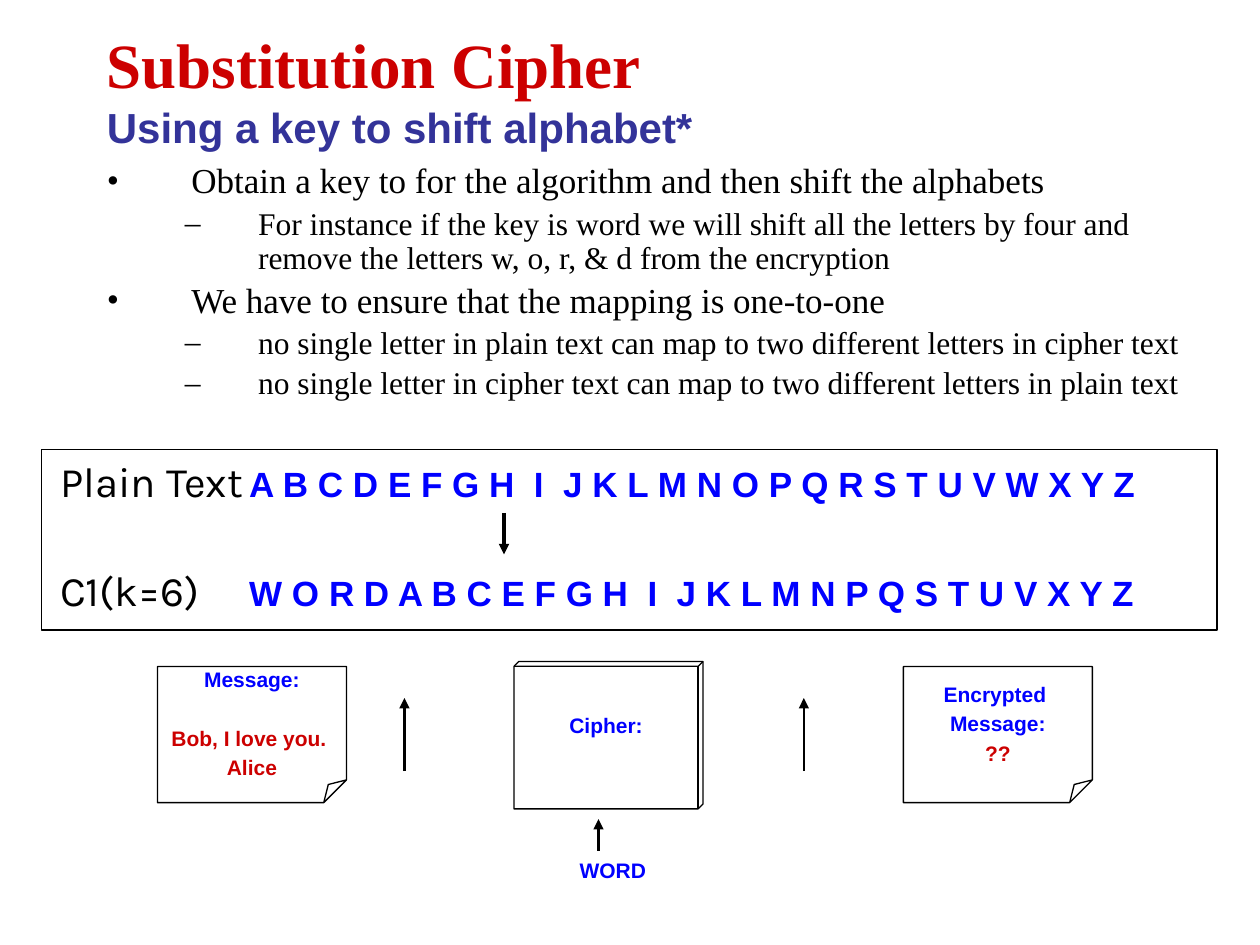
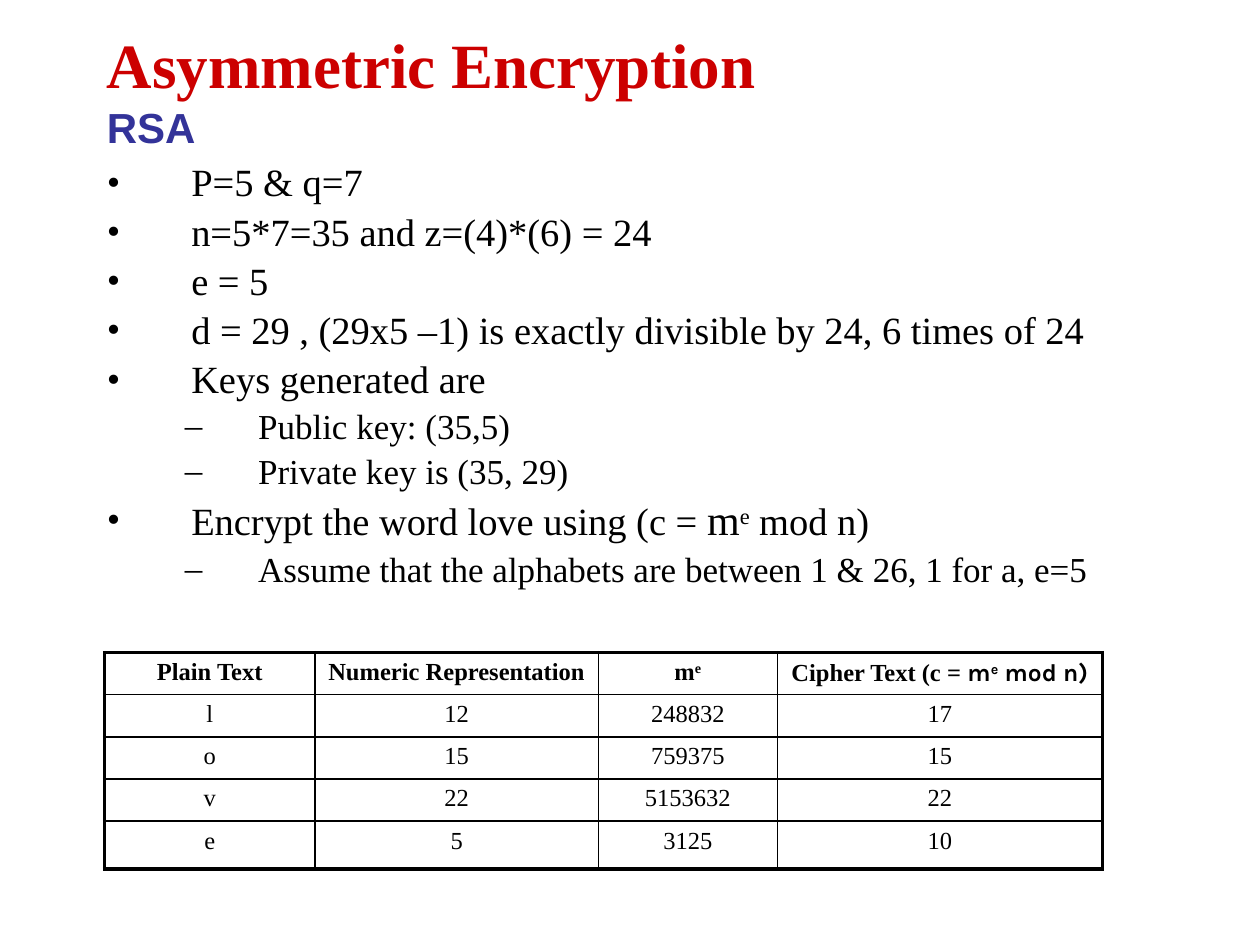
from dataclasses import dataclass

from lxml.etree import SubElement
from pptx import Presentation
from pptx.dml.color import RGBColor
from pptx.enum.shapes import MSO_CONNECTOR, MSO_SHAPE
from pptx.enum.text import MSO_ANCHOR, PP_ALIGN
from pptx.oxml.ns import qn
from pptx.util import Inches, Pt


@dataclass(frozen=True)
class Theme:
    black: str = "000000"
    red: str = "CC0000"
    navy: str = "333399"
    blue: str = "0000FF"
    serif: str = "Times New Roman"
    sans: str = "Arial"
    accent: str = "Karla"
    title: int = 36
    subtitle: int = 24
    label: int = 24
    alphabet: int = 20
    cell: int = 14
    note: int = 12
    thin: float = 0.75


THEME = Theme()
TITLE = dict(name=THEME.serif, size=THEME.title, color=THEME.red, bold=True)
SUBTITLE = dict(name=THEME.sans, size=THEME.subtitle, color=THEME.navy, bold=True)
BODY = dict(name=THEME.serif, color=THEME.black)
LABEL = dict(name=THEME.accent, size=THEME.label, color=THEME.black)
ALPHABET = dict(name=THEME.sans, size=THEME.alphabet, color=THEME.blue, bold=True)
NOTE = dict(name=THEME.sans, size=THEME.note, color=THEME.blue, bold=True)
RED_NOTE = {**NOTE, "color": THEME.red}
CELL = dict(name=THEME.serif, size=THEME.cell, color=THEME.black)
RAISED = 30000

# Bullet levels: mark, text indent, hanging indent
LEVELS = [("•", 0.67, -0.67), ("–", 1.2, -0.58)]

CIPHER_PAGE = {
    "title": "Substitution Cipher",
    "subtitle": "Using a key to shift alphabet*",
    "body": (0.75, 1.25, 9, 1.92),
    "sizes": (20, 18),
    "bullets": [
        (0, "Obtain a key to for the algorithm and then shift the alphabets"),
        (1, "For instance if the key is word we will shift all the letters by four and "
            "remove the letters w, o, r, & d from the encryption"),
        (0, "We have to ensure that the mapping is one-to-one"),
        (1, "no single letter in plain text can map to two different letters in cipher text"),
        (1, "no single letter in cipher text can map to two different letters in plain text"),
    ],
}
RSA_PAGE = {
    "title": "Asymmetric Encryption",
    "subtitle": "RSA",
    "body": (0.75, 1.25, 9.5, 3.42),
    "sizes": (22, 20),
    "bullets": [
        (0, "P=5 & q=7"),
        (0, "n=5*7=35 and z=(4)*(6) = 24"),
        (0, "e = 5"),
        (0, "d = 29 , (29x5 –1) is exactly divisible by 24, 6 times of 24"),
        (0, "Keys generated are"),
        (1, "Public key: (35,5)"),
        (1, "Private key is (35, 29)"),
        (0, [("Encrypt the word love using (c = ", {}), ("m", {"size": 24}),
             ("e", {"baseline": RAISED}), (" mod n)", {})]),
        (1, "Assume that the alphabets are between 1 & 26, 1 for a, e=5"),
    ],
}

# Top, label, letters
ALPHABETS = [
    (3.57, "Plain Text", "A B C D E F G H  I  J K L M N O P Q R S T U V W X Y Z"),
    (4.43, "C1(k=6)", "W O R D A B C E F G H  I  J K L M N P Q S T U V X Y Z"),
]
ALPHABET_FRAME = (0.33, 3.57, 9.33, 1.43)
CUBE_DEPTH = 0.033
# Place, preset, bottom inset, lines of (text, style, space before)
CARDS = [
    ((1.25, 5.29, 1.5, 1.08), MSO_SHAPE.FOLDED_CORNER, 0.05,
     [("Message:", NOTE, 0), ("Bob, I love you. ", RED_NOTE, 19.2), ("Alice", RED_NOTE, 2.4)]),
    ((4.08, 5.25, 1.5, 1.17), MSO_SHAPE.CUBE, 0.24, [("Cipher:", NOTE, 0)]),
    ((7.17, 5.29, 1.5, 1.08), MSO_SHAPE.FOLDED_CORNER, 0.05,
     [("Encrypted ", NOTE, 0), ("Message:", NOTE, 2.4), ("??", RED_NOTE, 2.4)]),
]
# x, from y, to y, width
ARROWS = [(4, 4.07, 4.4, 2), (3.21, 6.12, 5.54, 1.5),
          (6.38, 6.12, 5.54, 1.5), (4.75, 6.75, 6.5, 1.5)]

KARLA = {"name": THEME.accent}
CIPHER_TABLE = [
    ["Plain Text", "Numeric Representation", [("m", {}), ("e", {"baseline": RAISED})],
     [("Cipher Text (c = ", {}), ("m", KARLA), ("e", {**KARLA, "baseline": RAISED}),
      (" mod n)", KARLA)]],
    ["l", "12", "248832", "17"],
    ["o", "15", "759375", "15"],
    ["v", "22", "5153632", "22"],
    ["e", "5", "3125", "10"],
]
TABLE_ORIGIN = (0.83, 5.18)
COLUMN_WIDTHS = [1.67, 2.25, 1.42, 2.58]
ROW_HEIGHTS = [0.33] * 4 + [0.38]
OUTER_BORDER, INNER_BORDER = 2.25, 1


def inches(values):
    return [Inches(value) for value in values]


def write(para, content, style):
    """Add plain text, or (text, changes) spans, in the given style."""
    for text, changes in [(content, {})] if isinstance(content, str) else content:
        look = {**style, **changes}
        span = para.add_run()
        span.text = text
        span.font.color.rgb = RGBColor.from_string(look.pop("color"))
        baseline = look.pop("baseline", None)
        look["size"] = Pt(look["size"])
        for key, value in look.items():
            setattr(span.font, key, value)
        if baseline:
            span._r.get_or_add_rPr().set("baseline", str(baseline))


def next_para(frame, number):
    return frame.add_paragraph() if number else frame.paragraphs[0]


def add_text(page, place, **frame_format):
    frame = page.shapes.add_textbox(*inches(place)).text_frame
    for key, value in {"word_wrap": True, **frame_format}.items():
        setattr(frame, key, value)
    return frame


def set_bullet(para, level):
    mark, left, hanging = LEVELS[level]
    para.level = level
    properties = para._p.get_or_add_pPr()
    properties.set("marL", str(Inches(left)))
    properties.set("indent", str(Inches(hanging)))
    color = SubElement(properties, qn("a:buClr"))
    SubElement(color, qn("a:srgbClr"), val=THEME.black)
    SubElement(properties, qn("a:buFont"), typeface=THEME.serif)
    SubElement(properties, qn("a:buChar"), char=mark)


def add_page(deck, content):
    """Make a page with its title, subtitle and bullets."""
    page = deck.slides.add_slide(deck.slide_layouts[6])
    frame = add_text(page, content["body"])
    for number, (level, text) in enumerate(content["bullets"]):
        para = next_para(frame, number)
        size = content["sizes"][level]
        para.line_spacing = 0.9
        para.space_before = Pt(round(0.2 * size, 1) if number else 0)
        set_bullet(para, level)
        write(para, text, {**BODY, "size": size})
    heading = add_text(page, (0.75, 0.08, 8.5, 1.25), vertical_anchor=MSO_ANCHOR.MIDDLE)
    para = heading.paragraphs[0]
    write(para, content["title"], TITLE)
    para.add_line_break()
    write(para, content["subtitle"], SUBTITLE)
    return page


def add_outline(page, preset, place):
    shape = page.shapes.add_shape(preset, *inches(place))
    shape.shadow.inherit = False
    shape.fill.background()
    shape.line.color.rgb = RGBColor.from_string(THEME.black)
    shape.line.width = Pt(THEME.thin)
    return shape


def add_card(page, place, preset, bottom_inset, lines):
    card = add_outline(page, preset, place)
    if preset == MSO_SHAPE.CUBE:
        card.adjustments[0] = CUBE_DEPTH
    frame = card.text_frame
    frame.word_wrap = True
    frame.vertical_anchor = MSO_ANCHOR.MIDDLE
    frame.margin_bottom = Inches(bottom_inset)
    for number, (text, style, gap) in enumerate(lines):
        para = next_para(frame, number)
        para.alignment = PP_ALIGN.CENTER
        para.space_before = Pt(gap)
        write(para, text, style)


def add_arrow(page, x, start, end, width):
    arrow = page.shapes.add_connector(MSO_CONNECTOR.STRAIGHT, *inches((x, start, x, end)))
    arrow.line.color.rgb = RGBColor.from_string(THEME.black)
    arrow.line.width = Pt(width)
    SubElement(arrow.line._get_or_add_ln(), qn("a:tailEnd"), type="triangle")
    SubElement(arrow._element.spPr, qn("a:effectLst"))


def set_borders(cell, widths):
    properties = cell._tc.get_or_add_tcPr()
    for side, width in widths.items():
        border = SubElement(properties, qn(f"a:ln{side}"), w=str(Pt(width)))
        fill = SubElement(border, qn("a:solidFill"))
        SubElement(fill, qn("a:srgbClr"), val=THEME.black)


def add_cipher_table(page):
    last_row, last_column = len(ROW_HEIGHTS) - 1, len(COLUMN_WIDTHS) - 1
    extent = (sum(COLUMN_WIDTHS), sum(ROW_HEIGHTS))
    table = page.shapes.add_table(last_row + 1, last_column + 1,
                                  *inches(TABLE_ORIGIN + extent)).table
    table.first_row = table.horz_banding = False
    for column, width in zip(table.columns, COLUMN_WIDTHS):
        column.width = Inches(width)
    for row, height in zip(table.rows, ROW_HEIGHTS):
        row.height = Inches(height)
    for r, values in enumerate(CIPHER_TABLE):
        for c, content in enumerate(values):
            cell = table.cell(r, c)
            edges = {"L": c == 0, "R": c == last_column, "T": r == 0, "B": r == last_row}
            set_borders(cell, {side: OUTER_BORDER if outer else INNER_BORDER
                               for side, outer in edges.items()})
            cell.fill.background()
            para = cell.text_frame.paragraphs[0]
            para.alignment = PP_ALIGN.CENTER
            write(para, content, {**CELL, "bold": r == 0})


def main():
    deck = Presentation()
    deck.slide_width, deck.slide_height = inches((10, 7.5))

    page = add_page(deck, CIPHER_PAGE)
    for card in CARDS:
        add_card(page, *card)
    for top, label, letters in ALPHABETS:
        para = add_text(page, (0.38, top, 9.24, 0.5)).paragraphs[0]
        write(para, label, LABEL)
        write(para, "\t" + letters, ALPHABET)
    key = add_text(page, (4.36, 6.68, 0.87, 0.4), word_wrap=False,
                   margin_left=Inches(0.24), margin_top=Inches(0.13))
    write(key.paragraphs[0], "WORD", NOTE)
    for arrow in ARROWS:
        add_arrow(page, *arrow)
    add_outline(page, MSO_SHAPE.RECTANGLE, ALPHABET_FRAME)

    add_cipher_table(add_page(deck, RSA_PAGE))
    deck.save("out.pptx")


if __name__ == "__main__":
    main()
